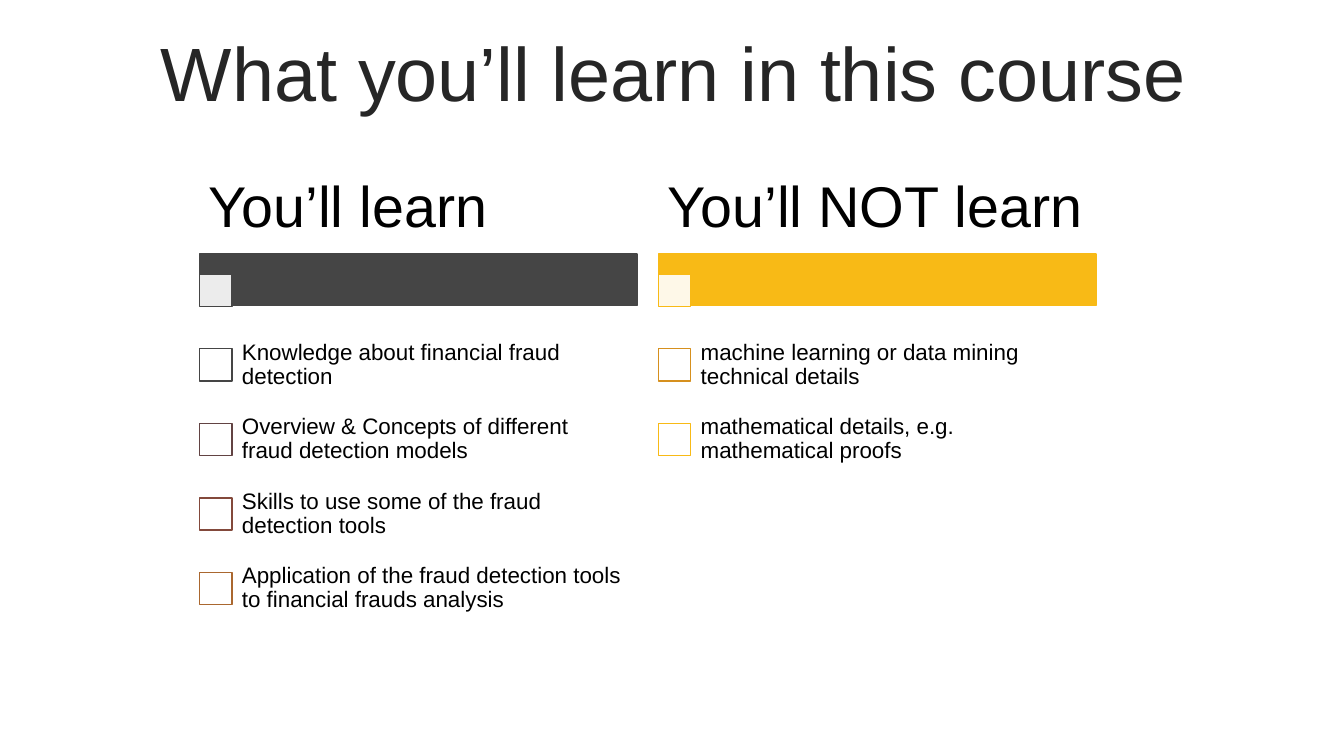
import pptx
import pptx.dml.color
import pptx.enum.shapes
import pptx.enum.text
import pptx.oxml
import pptx.oxml.ns
import pptx.util
from pptx.util import Inches

theme = {
    "font": "Arial", "title": "262626", "text": "000000", "white": "FFFFFF",
    "charcoal": "454545", "plum": "624343", "brown": "83493B",
    "copper": "AA672F", "amber": "D6901E", "yellow": "F8BA16",
    "title size": 54, "heading size": 41, "item size": 16, "outline": 1,
}


def add_box(left, top, width, height, fill, line, opacity=100):
    box = page.shapes.add_shape(
        pptx.enum.shapes.MSO_SHAPE.RECTANGLE,
        Inches(left), Inches(top), Inches(width), Inches(height))
    box.shadow.inherit = False
    box.fill.solid()
    box.fill.fore_color.rgb = pptx.dml.color.RGBColor.from_string(theme[fill])
    box.line.color.rgb = pptx.dml.color.RGBColor.from_string(theme[line])
    box.line.width = pptx.util.Pt(theme["outline"])
    if opacity < 100:
        color = box.fill._xPr.find(".//" + pptx.oxml.ns.qn("a:srgbClr"))
        alpha = pptx.oxml.parse_xml(
            f'<a:alpha {pptx.oxml.ns.nsdecls("a")} val="{opacity * 1000}"/>')
        color.append(alpha)


def add_text(text, left, top, width, height, size, color, side=0.1, edge=0.05):
    box = page.shapes.add_textbox(
        Inches(left), Inches(top), Inches(width), Inches(height))
    frame = box.text_frame
    frame.word_wrap = True
    frame.vertical_anchor = pptx.enum.text.MSO_ANCHOR.MIDDLE
    frame.margin_left = frame.margin_right = Inches(side)
    frame.margin_top = frame.margin_bottom = Inches(edge)
    para = frame.paragraphs[0]
    para.text = text
    para.line_spacing = 0.9
    para.font.name = theme["font"]
    para.font.size = pptx.util.Pt(theme[size])
    para.font.color.rgb = pptx.dml.color.RGBColor.from_string(theme[color])
    return para


deck = pptx.Presentation()
deck.slide_width, deck.slide_height = Inches(13.33), Inches(7.5)
page = deck.slides.add_slide(deck.slide_layouts[6])

# Title
title = add_text("What you’ll learn in this course",
                 0.35, 0.37, 12.66, 0.79, "title size", "title")
title.alignment = pptx.enum.text.PP_ALIGN.CENTER
title.space_before = pptx.util.Pt(10)

# Columns: heading, bar colour, then each item with its checkbox colour
columns = [
    ("You’ll learn", "charcoal", [
        ("Knowledge about financial fraud detection", "charcoal"),
        ("Overview & Concepts of different fraud detection models", "plum"),
        ("Skills to use some of the fraud detection tools", "brown"),
        ("Application of the fraud detection tools to financial frauds analysis",
         "copper"),
    ]),
    ("You’ll NOT learn", "yellow", [
        ("machine learning or data mining technical details", "amber"),
        ("mathematical details, e.g. mathematical proofs", "yellow"),
    ]),
]
first_left, column_step, column_width = 1.98, 4.55, 4.34
first_top, row_height, check_size = 3.25, 0.74, 0.32

for column, (heading, bar_color, items) in enumerate(columns):
    left = first_left + column * column_step

    # Bar with its marker, and the heading above
    add_box(left, 2.52, column_width, 0.51, bar_color, bar_color)
    add_box(left, 2.72, check_size, check_size, "white", bar_color, opacity=90)
    add_text(heading, left, 1.61, column_width, 0.92,
             "heading size", "text", side=0.09, edge=0.06)

    # Checklist
    for row, (item, check_color) in enumerate(items):
        top = first_top + row * row_height
        add_box(left, top + (row_height - check_size) / 2,
                check_size, check_size, "white", check_color)
        add_text(item, left + 0.3, top, 4.03, row_height,
                 "item size", "text", side=0.12, edge=0.12)

deck.save("out.pptx")
